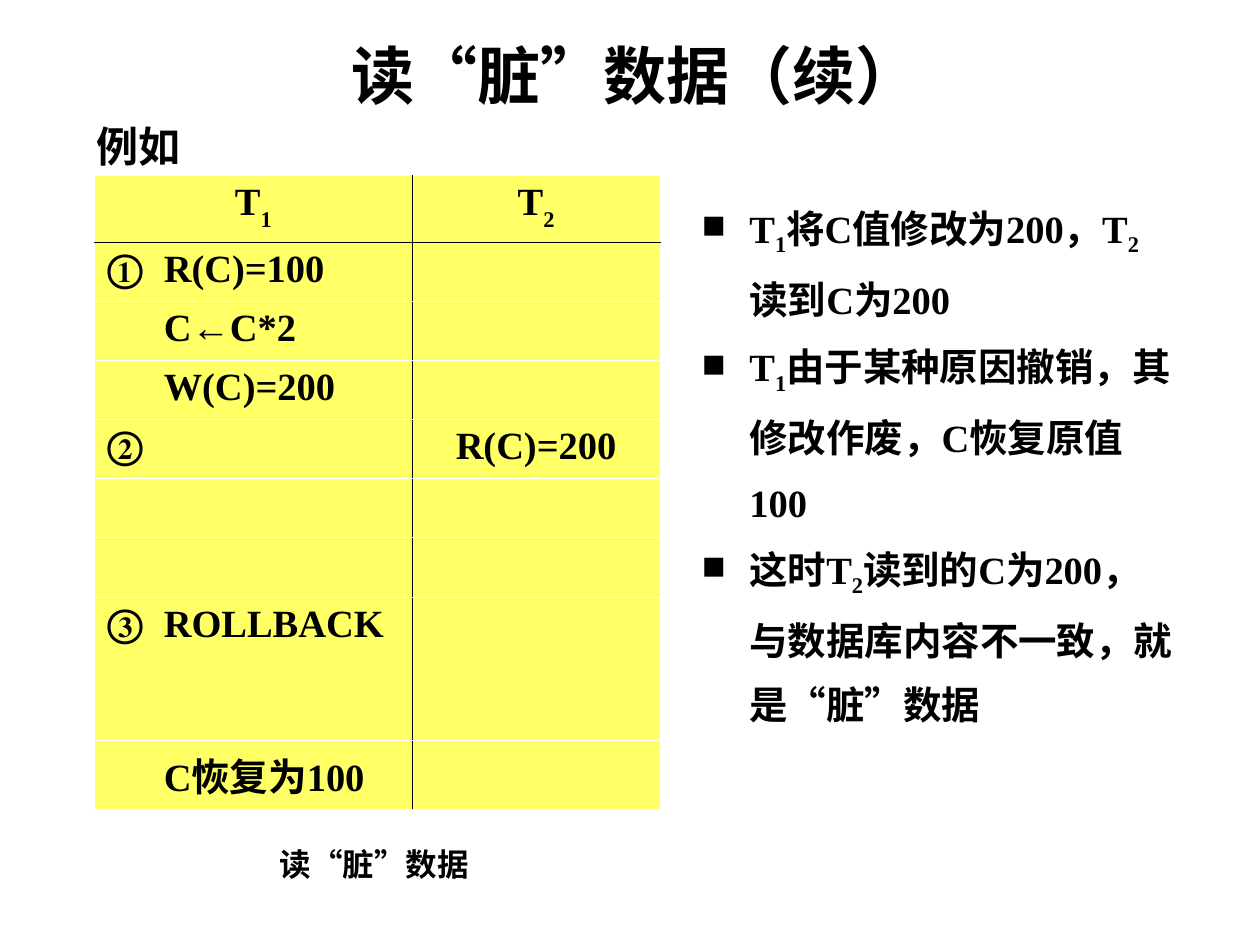
from lxml.etree import SubElement
from pptx import Presentation
from pptx.dml.color import RGBColor
from pptx.enum.text import MSO_ANCHOR as Anchor, PP_ALIGN as Align
from pptx.oxml.ns import qn
from pptx.util import Inches, Pt

BLACK = RGBColor(0, 0, 0)
WHITE = RGBColor(255, 255, 255)
YELLOW = RGBColor(0xFF, 0xFF, 0x66)
SERIF = "Times New Roman"
COLUMN_WIDTHS = (2.52, 1.97)
ROW_HEIGHTS = (0.53,) + (0.47,) * 6 + (1.14, 0.47)
SCHEDULE = (
    ("T_1", "T_2"),
    ("①\tR(C)=100", ""),
    ("\tC←C*2", ""),
    ("\tW(C)=200", ""),
    ("②", "R(C)=200"),
    ("", ""),
    ("", ""),
    ("③\tROLLBACK", ""),
    ("\tC恢复为100", ""),
)
POINTS = (
    "T_1将C值修改为200，T_2读到C为200",
    "T_1由于某种原因撤销，其修改作废，C恢复原值100",
    "这时T_2读到的C为200，与数据库内容不一致，就是“脏”数据",
)


def set_font(para, size, name=SERIF):
    """Give a paragraph its bold black font."""
    para.font.size = Pt(size)
    para.font.name = name
    para.font.bold = True
    para.font.color.rgb = BLACK


def write_spans(para, text, baseline):
    """Write text in which an underscore lowers the next character."""
    first, *others = text.split("_")
    if first:
        para.add_run().text = first
    for piece in others:
        span = para.add_run()
        span.text = piece[0]
        span._r.get_or_add_rPr().set("baseline", str(baseline * 1000))
        if piece[1:]:
            para.add_run().text = piece[1:]


def set_indent(para, inches):
    """Give a paragraph a hanging indent."""
    props = para._p.get_or_add_pPr()
    props.set("marL", str(Inches(inches)))
    props.set("indent", str(-Inches(inches)))
    return props


def add_title(page, left, top, width, height):
    """Place the slide title."""
    title = page.shapes.title
    title.left, title.top, title.width, title.height = map(Inches, (left, top, width, height))
    frame = title.text_frame
    frame.text = "读“脏”数据（续）"
    frame.vertical_anchor = Anchor.MIDDLE
    frame.paragraphs[0].alignment = Align.CENTER
    set_font(frame.paragraphs[0], 36, "Arial")


def add_label(page, left, top, width, height, text, size, wrap=True):
    """Place a one-line label."""
    box = page.shapes.add_textbox(*map(Inches, (left, top, width, height)))
    box.text_frame.word_wrap = wrap
    para = box.text_frame.paragraphs[0]
    para.text = text
    set_font(para, size)


def set_borders(cell, row, column):
    """Draw black rules under the header and between columns, white elsewhere."""
    black_sides = {
        "lnL": column == 1, "lnR": column == 0,
        "lnT": row == 1, "lnB": row == 0,
    }
    props = cell._tc.get_or_add_tcPr()
    for side, is_black in black_sides.items():
        line = SubElement(props, qn(f"a:{side}"), w=str(Pt(0.45)))
        fill = SubElement(line, qn("a:solidFill"))
        SubElement(fill, qn("a:srgbClr"), val=str(BLACK if is_black else WHITE))


def add_schedule(page, left, top, width, height):
    """Place the table of the two transactions."""
    table = page.shapes.add_table(
        len(SCHEDULE), 2, *map(Inches, (left, top, width, height))).table
    for column, inches in zip(table.columns, COLUMN_WIDTHS):
        column.width = Inches(inches)
    for row, inches in zip(table.rows, ROW_HEIGHTS):
        row.height = Inches(inches)
    for row, texts in enumerate(SCHEDULE):
        for column, text in enumerate(texts):
            cell = table.cell(row, column)
            set_borders(cell, row, column)
            cell.fill.solid()
            cell.fill.fore_color.rgb = YELLOW
            para = cell.text_frame.paragraphs[0]
            if row == 0 or column == 1:
                para.alignment = Align.CENTER
            else:
                set_indent(para, 0.45)
            write_spans(para, text, -30)
            set_font(para, 22)


def add_points(page, left, top, width, height):
    """Place the bulleted explanation."""
    box = page.shapes.add_textbox(*map(Inches, (left, top, width, height)))
    frame = box.text_frame
    frame.word_wrap = True
    for index, text in enumerate(POINTS):
        para = frame.add_paragraph() if index else frame.paragraphs[0]
        para.line_spacing = 1.4
        props = set_indent(para, 0.38)
        color = SubElement(props, qn("a:buClr"))
        SubElement(color, qn("a:srgbClr"), val=str(BLACK))
        SubElement(props, qn("a:buSzPct"), val="85000")
        SubElement(props, qn("a:buChar"), char="■")
        write_spans(para, text, -25)
        set_font(para, 22)


def main():
    """Build and save the slide."""
    deck = Presentation()
    deck.slide_width, deck.slide_height = Inches(10), Inches(7.5)
    page = deck.slides.add_slide(deck.slide_layouts[5])
    add_title(page, 1, 0.28, 8.08, 0.62)
    add_schedule(page, 0.75, 1.39, sum(COLUMN_WIDTHS), sum(ROW_HEIGHTS))
    add_label(page, 0.67, 0.91, 1.49, 0.5, "例如", 24)
    add_label(page, 2.12, 6.66, 1.75, 0.4, "读“脏”数据", 18, wrap=False)
    add_points(page, 5.47, 1.41, 3.94, 4.49)
    deck.save("out.pptx")


if __name__ == "__main__":
    main()
